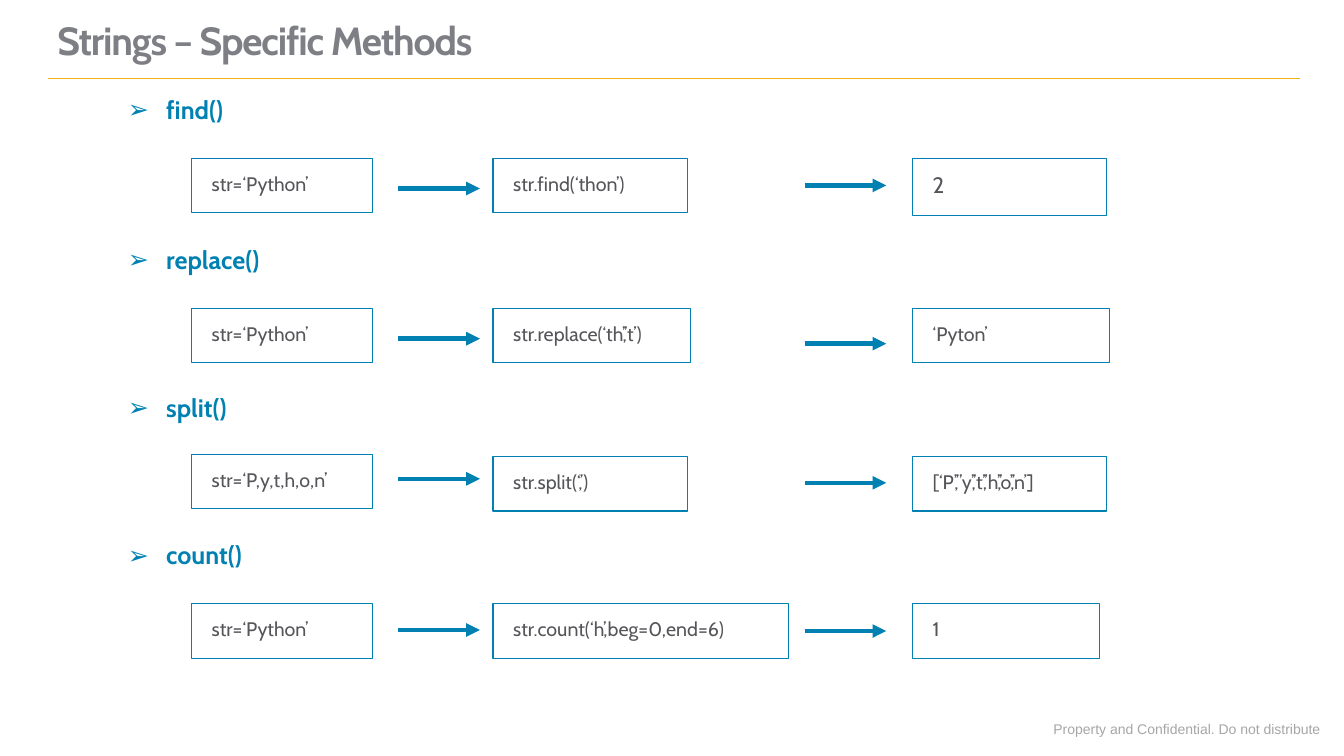
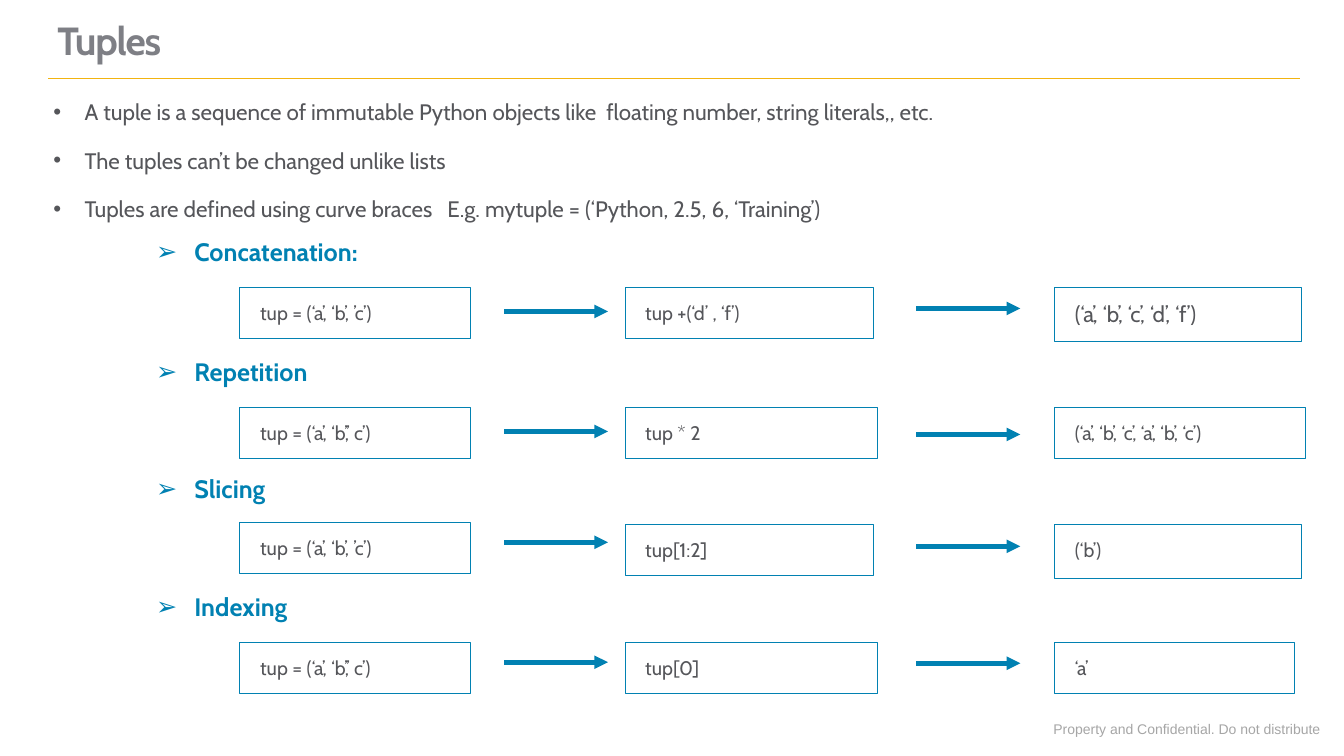
from typing import NamedTuple

from lxml.etree import SubElement
from pptx import Presentation
from pptx.dml.color import RGBColor
from pptx.enum.shapes import MSO_CONNECTOR as Connector, MSO_SHAPE as Shape
from pptx.enum.text import MSO_ANCHOR as Anchor
from pptx.oxml.ns import qn
from pptx.util import Emu, Pt

PX = 9144  # 100 px to the inch
BLUE = RGBColor(0x01, 0x81, 0xB2)
GOLD = RGBColor(0xF2, 0xB4, 0x11)
TITLE_GREY = RGBColor(0x7E, 0x7F, 0x85)
TEXT_GREY = RGBColor(0x55, 0x56, 0x5A)
FOOTER_GREY = RGBColor(0xA6, 0xA6, 0xA6)
FOOTER = "Property and Confidential. Do not distribute"
WIDE_INSETS = (20, 16)


class Box(NamedTuple):
    text: str
    top: int
    width: int
    extra_height: int = 0
    size: int = 14


class Row(NamedTuple):
    """A method, its three boxes and the heights of the two arrows between."""
    heading: str
    top: int
    boxes: tuple
    arrow_ys: tuple


class Flow(NamedTuple):
    heading_left: int
    heading_height: int
    box_lefts: tuple
    box_height: int
    arrow_lefts: tuple
    arrow_length: int
    rows: list


STRING_FLOW = Flow(117, 37, (190, 489, 905), 54, (395, 798), 81, [
    Row("find()", 92, (Box("str=‘Python’", 157, 179),
                       Box("str.find(‘thon’)", 157, 193),
                       Box("2", 157, 192, 3, 16)), (187, 184)),
    Row("replace()", 241, (Box("str=‘Python’", 306, 179),
                           Box("str.replace(‘th’,’t’)", 306, 196),
                           Box("‘Pyton’", 306, 195)), (336, 341)),
    Row("split()", 388, (Box("str=‘P,y,t,h,o,n’", 451, 179),
                         Box("str.split(‘,’)", 453, 193),
                         Box("[‘P’,’’y’,’t’,’h’,’o’,’n’]", 453, 192)), (475, 479)),
    Row("count()", 534, (Box("str=‘Python’", 599, 179),
                         Box("str.count(‘h’,beg=0,end=6)", 599, 293),
                         Box("1", 599, 186)), (625, 626)),
])

TUPLE_FLOW = Flow(145, 35, (238, 620, 1046), 51, (500, 909), 103, [
    Row("Concatenation:", 233, (Box("tup = (‘a’, ‘b’, ’c’)", 285, 229),
                                Box("tup +(‘d’ , ‘f’)", 285, 246),
                                Box("(‘a’, ‘b’, ‘c’, ‘d’, ‘f’)", 285, 245, 3, 16)), (309, 306)),
    Row("Repetition", 352, (Box("tup = (‘a’, ‘b’,’ c’)", 404, 229),
                            Box("tup * 2", 404, 250),
                            Box("(‘a’, ‘b’, ‘c’, ‘a’, ‘b’, ‘c’)", 404, 249)), (428, 431)),
    Row("Slicing", 468, (Box("tup = (‘a’, ‘b’, ’c’)", 518, 229),
                         Box("tup[1:2]", 520, 246),
                         Box("(‘b’)", 520, 245, 3)), (538, 542)),
    Row("Indexing", 585, (Box("tup = (‘a’, ‘b’,’ c’)", 637, 229),
                          Box("tup[0]", 637, 250),
                          Box("‘a’", 637, 238)), (657, 658)),
])

TUPLE_FACTS = [
    "A tuple is a sequence of immutable Python objects like  floating number, string literals,, etc.",
    "The tuples can’t be changed unlike lists",
    "Tuples are defined using curve braces   E.g. mytuple = (‘Python, 2.5, 6, ‘Training’)",
]

PAGES = [
    ("Strings – Specific Methods", [], STRING_FLOW),
    ("Tuples", TUPLE_FACTS, TUPLE_FLOW),
]


def px(*lengths):
    return [Emu(length * PX) for length in lengths]


def write(shape, lines, size, color, font="Cabin", bold=False, insets=(10, 5),
          spacing=0.9, after=6, bullet=None, indent=0, wrap=True):
    frame = shape.text_frame
    frame.word_wrap = wrap
    frame.vertical_anchor = Anchor.TOP
    frame.margin_left = frame.margin_right = Emu(insets[0] * PX)
    frame.margin_top = frame.margin_bottom = Emu(insets[1] * PX)
    frame.text = "\n".join(lines)
    for para in frame.paragraphs:
        para.line_spacing = spacing
        para.space_after = Pt(after)
        para.font.name, para.font.size, para.font.bold = font, Pt(size), bold
        para.font.color.rgb = color
        if bullet:
            props = para._p.get_or_add_pPr()
            props.set("marL", str(indent * PX))
            props.set("indent", str(-indent * PX))
            mark_font = SubElement(props, qn("a:buFont"))
            mark_font.set("typeface", "Arial")
            SubElement(props, qn("a:buChar")).set("char", bullet)
            # The schema wants bullets before the default run properties.
            props.append(props.find(qn("a:defRPr")))
    return frame


def add_text(page, place, lines, size, color, **style):
    return write(page.shapes.add_textbox(*px(*place)), lines, size, color, **style)


def add_rule(page, left, right, y, color, weight, arrow=False):
    rule = page.shapes.add_connector(Connector.STRAIGHT, *px(left, y, right, y))
    rule.line.color.rgb = color
    rule.line.width = Pt(weight)
    if arrow:
        SubElement(rule.line._get_or_add_ln(), qn("a:tailEnd")).set("type", "triangle")
    SubElement(rule._element.spPr, qn("a:effectLst"))


def add_page(deck, title):
    """Add a page with the shared footer, gold rule and title."""
    page = deck.slides.add_slide(deck.slide_layouts[6])
    add_text(page, (1035, 710, 287, 27), [FOOTER], 10, FOOTER_GREY,
             font="Arial", spacing=1, after=0, wrap=False)
    add_rule(page, 48, 1289, 78, GOLD, 0.75)
    frame = add_text(page, (41, 0, 1000, 73), [title], 28, TITLE_GREY,
                     bold=True, insets=(16, 10), after=0)
    frame.vertical_anchor = Anchor.BOTTOM
    frame.paragraphs[0].runs[0].font._element.set("spc", "-80")
    return page


def add_box(page, left, height, box):
    shape = page.shapes.add_shape(
        Shape.RECTANGLE, *px(left, box.top, box.width, height + box.extra_height))
    shape.shadow.inherit = False
    shape.fill.background()
    shape.line.color.rgb = BLUE
    shape.line.width = Pt(0.75)
    frame = write(shape, [box.text], box.size, TEXT_GREY, insets=WIDE_INSETS)
    frame.paragraphs[0].alignment = 1  # left


def add_flow(page, flow):
    for row in flow.rows:
        add_text(page, (flow.heading_left, row.top, 240, flow.heading_height),
                 [row.heading], 18, BLUE, bold=True, bullet="➢", indent=38)
        for left, box in zip(flow.box_lefts, row.boxes):
            add_box(page, left, flow.box_height, box)
        for left, y in zip(flow.arrow_lefts, row.arrow_ys):
            add_rule(page, left, left + flow.arrow_length, y, BLUE, 3.25, arrow=True)


def main():
    deck = Presentation()
    deck.slide_width, deck.slide_height = px(1333, 750)
    for title, facts, flow in PAGES:
        page = add_page(deck, title)
        add_flow(page, flow)
        if facts:
            add_text(page, (33, 68, 1254, 165), facts, 16, TEXT_GREY,
                     insets=WIDE_INSETS, spacing=1.5, bullet="•", indent=31)
    deck.save("out.pptx")


if __name__ == "__main__":
    main()
